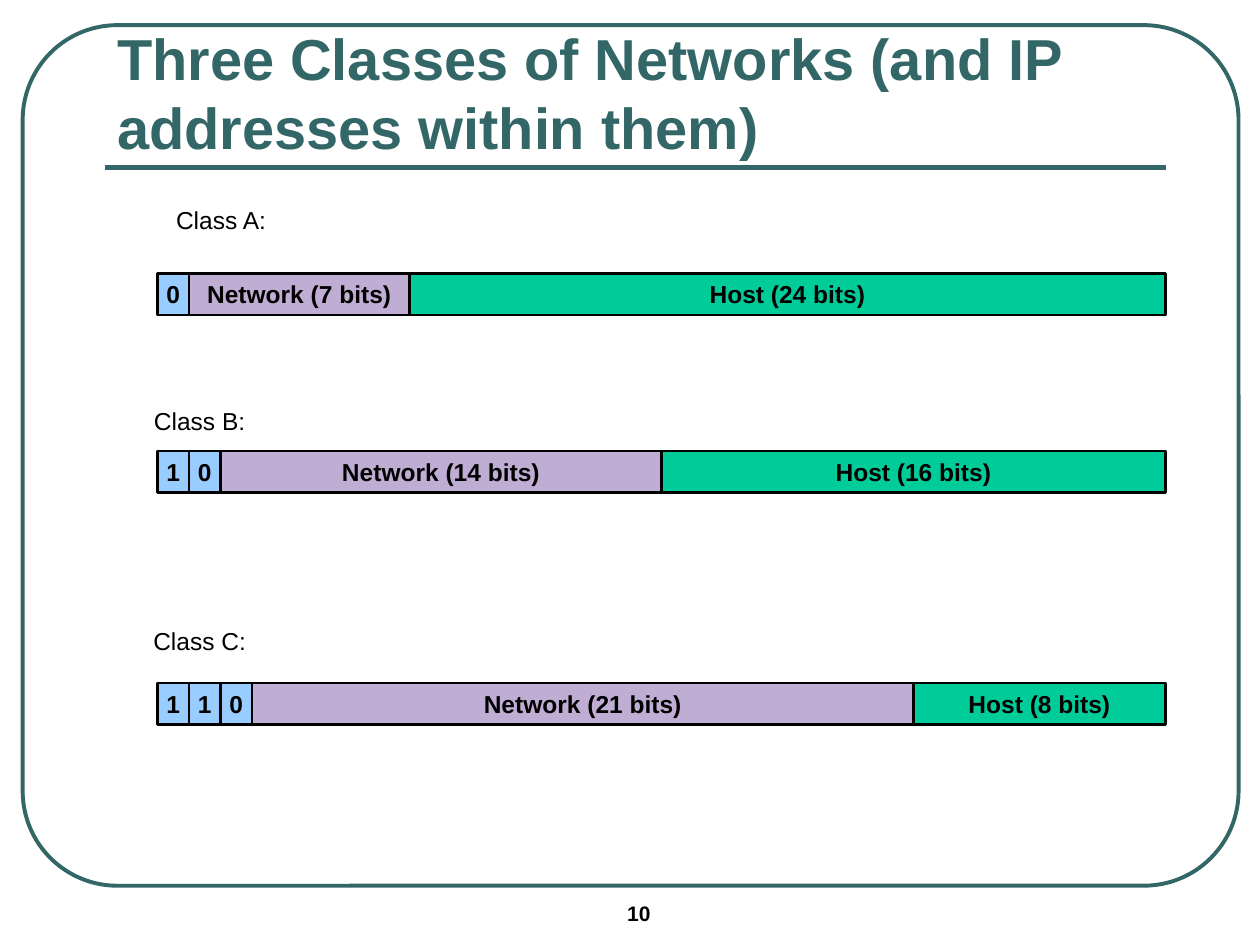
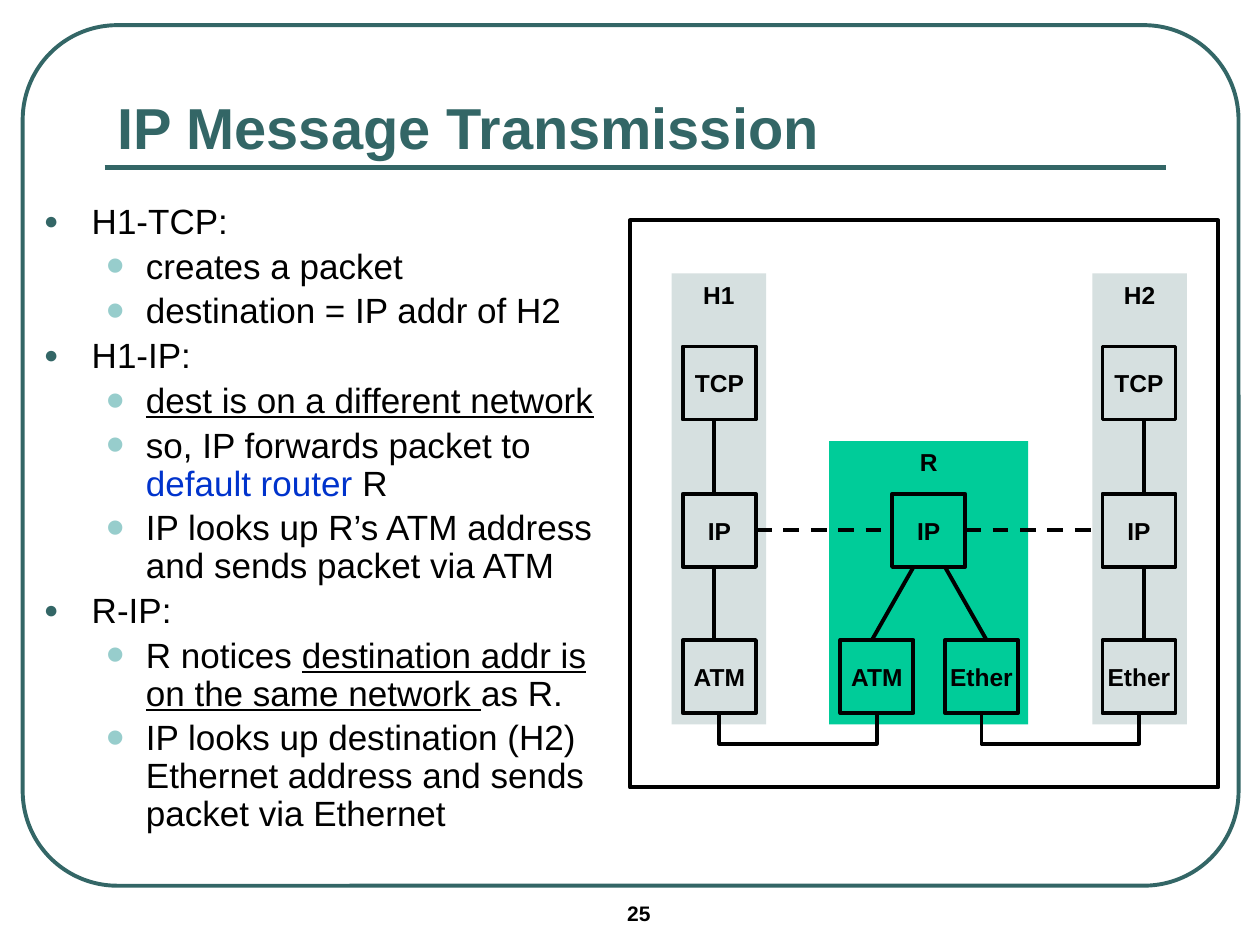
from lxml.etree import SubElement
from pptx import Presentation
from pptx.dml.color import RGBColor
from pptx.enum.dml import MSO_LINE
from pptx.enum.shapes import MSO_CONNECTOR, MSO_SHAPE
from pptx.enum.text import MSO_ANCHOR, MSO_AUTO_SIZE, PP_ALIGN
from pptx.oxml.ns import qn
from pptx.util import Emu, Inches, Pt

FONT = "Arial"
BLACK = RGBColor(0, 0, 0)
WHITE = RGBColor(255, 255, 255)
TEAL = RGBColor(0x33, 0x66, 0x66)
PALE_TEAL = RGBColor(0x97, 0xCD, 0xCC)
SKY = RGBColor(0x99, 0xCC, 0xFF)
LILAC = RGBColor(0xBF, 0xAD, 0xD3)
GREEN = RGBColor(0, 0xCC, 0x99)
MIST = RGBColor(0xD6, 0xE0, 0xE0)
BLUE = RGBColor(0, 0x33, 0xCC)

CLASSES_TITLE = "Three Classes of Networks (and IP addresses within them)"
# label, label left, label top, bar top, prefix bits, network bits, host bits
CLASSES = [
    ("Class A:", 1.17, 1.58, 2.17, "0", 7, 24),
    ("Class B:", 1, 3.17, 3.58, "10", 14, 16),
    ("Class C:", 1, 4.92, 5.42, "110", 21, 8),
]
BAR_LEFT, BAR_HEIGHT, BIT_WIDTH = 1.25, 0.33, 0.25

TRANSMISSION_TITLE = "IP Message Transmission"
UNDERLINED = {"underline": True}
# level, runs
STEPS = [
    (0, [("H1-TCP:", {})]),
    (1, [("creates a packet", {})]),
    (1, [("destination = IP addr of H2", {})]),
    (0, [("H1-IP:", {})]),
    (1, [("dest is on a different network", UNDERLINED)]),
    (1, [("so, IP forwards packet to ", {}), ("default router", {"color": BLUE}),
         (" R", {})]),
    (1, [("IP looks up R’s ATM address and sends packet via ATM", {})]),
    (0, [("R-IP:", {})]),
    (1, [("R notices ", {}), ("destination addr is on the same network ", UNDERLINED),
         ("as R.", {})]),
    (1, [("IP looks up destination (H2) Ethernet address and sends packet via Ethernet",
          {})]),
]
# per level: indent, hanging, bullet, bullet colour, bullet size in percent
BULLETS = [(0.38, 0.38, "●", TEAL, 70), (0.81, 0.31, "•", PALE_TEAL, 150)]

# label, left, top, width, fill
MACHINES = [
    ("H1", 5.33, 2.17, 0.75, MIST),
    ("R", 6.58, 3.5, 1.58, GREEN),
    ("H2", 8.67, 2.17, 0.75, MIST),
]
MACHINE_BOTTOM = 5.75
BOX = 0.58
ROW_TOPS = [2.75, 3.92, 5.08]
# (machine, protocol): left, row
LAYERS = {
    ("H1", "TCP"): (5.42, 0), ("H1", "IP"): (5.42, 1), ("H1", "ATM"): (5.42, 2),
    ("R", "IP"): (7.08, 1), ("R", "ATM"): (6.67, 2), ("R", "Ether"): (7.5, 2),
    ("H2", "TCP"): (8.75, 0), ("H2", "IP"): (8.75, 1), ("H2", "Ether"): (8.75, 2),
}
# upper row, x at its bottom, x at the next row's top
STACK_LINES = [(0, 5.67, 5.67), (0, 9.08, 9.08), (1, 5.67, 5.67), (1, 9.08, 9.08),
               (1, 7.25, 6.92), (1, 7.5, 7.83)]
PEERS = [(("H1", "IP"), ("R", "IP")), (("R", "IP"), ("H2", "IP"))]
CABLES = [(("H1", "ATM"), ("R", "ATM")), (("R", "Ether"), ("H2", "Ether"))]
CABLE_DROP, CABLE_THICKNESS = 0.25, 0.01


def add_run(paragraph, text, size=14, color=BLACK, bold=False, underline=None):
    run = paragraph.add_run()
    run.text = text
    font = run.font
    font.name, font.size, font.bold, font.underline = FONT, Pt(size), bold, underline
    font.color.rgb = color


def write(shape, text, align=PP_ALIGN.LEFT, anchor=MSO_ANCHOR.TOP, wrap=True, **style):
    frame = shape.text_frame
    frame.auto_size = MSO_AUTO_SIZE.NONE
    frame.word_wrap, frame.vertical_anchor = wrap, anchor
    paragraph = frame.paragraphs[0]
    paragraph.alignment = align
    add_run(paragraph, text, **style)


def add_label(slide, text, left, top, width, height, **style):
    box = slide.shapes.add_textbox(*map(Inches, (left, top, width, height)))
    write(box, text, **style)


def add_block(slide, left, top, width, height, fill=None, line=BLACK, weight=2.25,
              text=None, anchor=MSO_ANCHOR.MIDDLE, kind=MSO_SHAPE.RECTANGLE):
    block = slide.shapes.add_shape(kind, *map(Inches, (left, top, width, height)))
    block.shadow.inherit = False
    if fill is None:
        block.fill.background()
    else:
        block.fill.solid()
        block.fill.fore_color.rgb = fill
    if line is None:
        block.line.fill.background()
    else:
        block.line.color.rgb = line
        block.line.width = Pt(weight)
    if text:
        write(block, text, align=PP_ALIGN.CENTER, anchor=anchor, wrap=False, bold=True)
    return block


def add_line(slide, start=(0, 0), end=(0, 0), color=BLACK, weight=2.25,
             kind=MSO_CONNECTOR.STRAIGHT):
    line = slide.shapes.add_connector(kind, *map(Inches, (*start, *end)))
    line.line.color.rgb = color
    line.line.width = Pt(weight)
    SubElement(line._element.spPr, qn("a:effectLst"))
    return line


def add_cable(slide, left_box, right_box):
    """Join the bottoms of two boxes with a U-shaped elbow connector."""
    cable = add_line(slide, kind=MSO_CONNECTOR.ELBOW)
    cable.begin_connect(left_box, 2)
    cable.end_connect(right_box, 2)
    span = right_box.left - left_box.left
    middle = left_box.left + (left_box.width + span) // 2
    bottom = left_box.top + left_box.height
    cable.width, cable.height = Inches(CABLE_THICKNESS), Emu(span)
    cable.left, cable.top = middle - cable.width // 2, bottom - span // 2
    properties = cable._element.spPr
    frame = properties.find(qn("a:xfrm"))
    frame.set("rot", str(270 * 60000))
    frame.set("flipH", "1")
    geometry = properties.find(qn("a:prstGeom"))
    adjustments = geometry.find(qn("a:avLst"))
    if adjustments is None:
        adjustments = SubElement(geometry, qn("a:avLst"))
    depth = round(CABLE_DROP / CABLE_THICKNESS * 100000)
    SubElement(adjustments, qn("a:gd"), name="adj1", fmla=f"val {depth}")


def add_bullet(paragraph, level):
    indent, hanging, mark, color, percent = BULLETS[level]
    properties = paragraph._p.get_or_add_pPr()
    properties.set("marL", str(Inches(indent)))
    properties.set("indent", str(-Inches(hanging)))
    SubElement(SubElement(properties, qn("a:buClr")), qn("a:srgbClr"), val=str(color))
    SubElement(properties, qn("a:buSzPct"), val=str(percent * 1000))
    SubElement(properties, qn("a:buFont"), typeface=FONT)
    SubElement(properties, qn("a:buChar"), char=mark)


def start_slide(deck, title, number):
    """Add a slide with the frame, rule, title and page number all slides share."""
    slide = deck.slides.add_slide(deck.slide_layouts[5])
    border = add_block(slide, 0.18, 0.2, 9.65, 6.83, line=TEAL,
                       kind=MSO_SHAPE.ROUNDED_RECTANGLE)
    border.adjustments[0] = 0.11
    add_line(slide, (0.83, 1.33), (9.25, 1.33), color=TEAL, weight=3)
    heading = slide.shapes.title
    heading.left, heading.top = Inches(0.83), Inches(0.58)
    heading.width, heading.height = Inches(8.42), Inches(0.75)
    write(heading, title, anchor=MSO_ANCHOR.BOTTOM, size=33, color=TEAL, bold=True)
    add_label(slide, number, 4.88, 7.1, 1.17, 0.33, size=12, bold=True)
    return slide


def build_classes(deck):
    slide = start_slide(deck, CLASSES_TITLE, "10")
    for label, label_left, label_top, top, prefix, network, host in CLASSES:
        add_label(slide, label, label_left, label_top, 1.17, 0.33,
                  align=PP_ALIGN.CENTER)
        fields = [(bit, 1, SKY) for bit in prefix]
        fields += [(f"Network ({network} bits)", network, LILAC),
                   (f"Host ({host} bits)", host, GREEN)]
        left = BAR_LEFT
        for text, bits, fill in fields:
            width = bits * BIT_WIDTH
            add_block(slide, left, top, width, BAR_HEIGHT, fill, weight=1.5, text=text)
            left += width


def add_steps(slide):
    body = slide.shapes.add_textbox(*map(Inches, (0.25, 1.57, 4.67, 5.38)))
    frame = body.text_frame
    frame.word_wrap = True
    for index, (level, runs) in enumerate(STEPS):
        paragraph = frame.add_paragraph() if index else frame.paragraphs[0]
        add_bullet(paragraph, level)
        paragraph.level = level
        paragraph.line_spacing = 0.9
        if index:
            paragraph.space_before = Pt(4)
        for text, style in runs:
            add_run(paragraph, text, size=20, **style)


def add_network(slide):
    add_block(slide, 5, 1.75, 4.67, 4.5, WHITE)
    for name, left, top, width, fill in MACHINES:
        add_block(slide, left, top, width, MACHINE_BOTTOM - top, fill, line=None,
                  text=name, anchor=MSO_ANCHOR.TOP)
    boxes = {}
    for layer, (left, row) in LAYERS.items():
        boxes[layer] = add_block(slide, left, ROW_TOPS[row], BOX, BOX, text=layer[1])
    for row, upper_x, lower_x in STACK_LINES:
        add_line(slide, (upper_x, ROW_TOPS[row] + BOX), (lower_x, ROW_TOPS[row + 1]))
    for left_layer, right_layer in CABLES:
        add_cable(slide, boxes[left_layer], boxes[right_layer])
    for left_layer, right_layer in PEERS:
        link = add_line(slide)
        link.begin_connect(boxes[left_layer], 3)
        link.end_connect(boxes[right_layer], 1)
        link.line.dash_style = MSO_LINE.DASH


def build_transmission(deck):
    slide = start_slide(deck, TRANSMISSION_TITLE, "25")
    add_steps(slide)
    add_network(slide)


def main():
    deck = Presentation()
    deck.slide_width, deck.slide_height = Inches(10), Inches(7.5)
    build_classes(deck)
    build_transmission(deck)
    deck.save("out.pptx")


if __name__ == "__main__":
    main()
